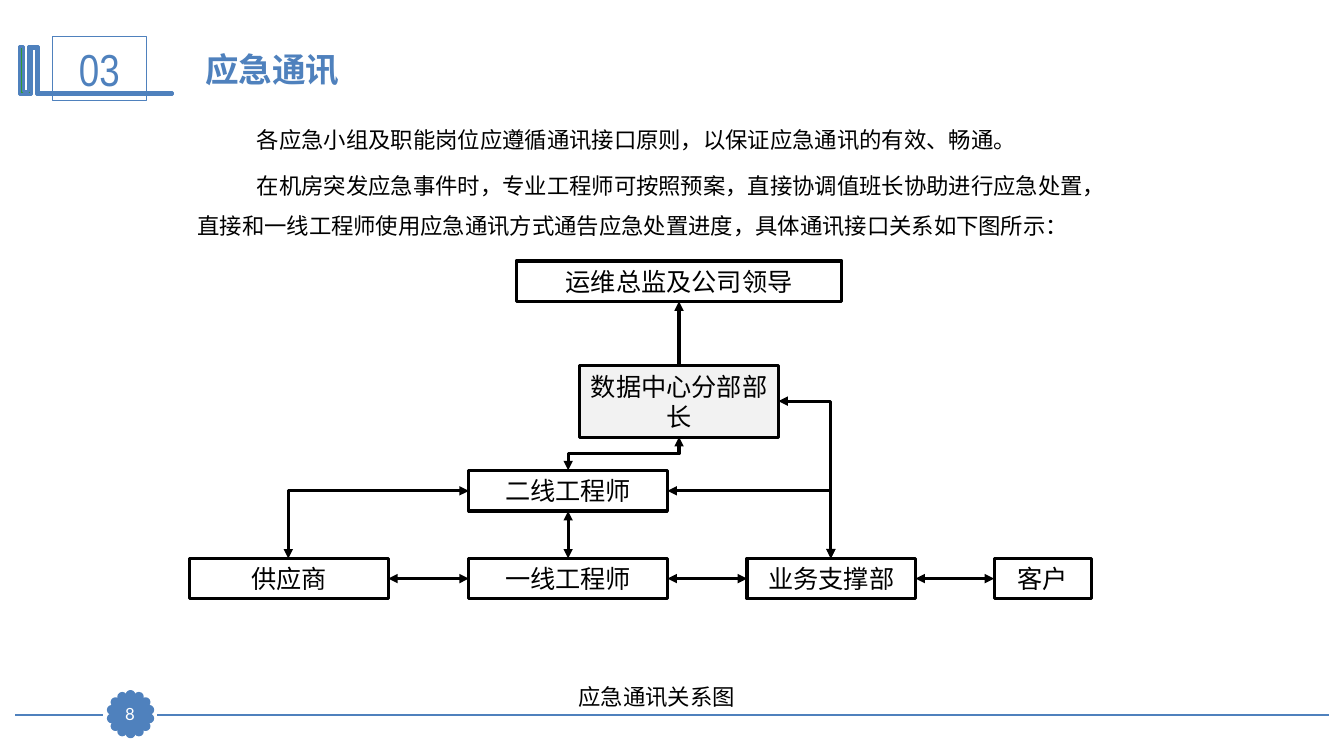
"""Build the emergency communication slide with its contact diagram."""
from math import cos, pi, sin

from lxml.etree import SubElement
from pptx import Presentation
from pptx.dml.color import RGBColor
from pptx.enum.shapes import MSO_CONNECTOR, MSO_SHAPE
from pptx.enum.text import MSO_ANCHOR, PP_ALIGN
from pptx.oxml.ns import qn
from pptx.util import Inches, Pt

BLUE = "4F81BD"
BLACK = "000000"


def paint(item, line, width, fill=None):
    """Colour the outline and fill, and drop the shadow."""
    item.line.color.rgb = RGBColor.from_string(line)
    item.line.width = Pt(width)
    if hasattr(item, "fill"):
        item.shadow.inherit = False
        if fill:
            item.fill.solid()
            item.fill.fore_color.rgb = RGBColor.from_string(fill)
        else:
            item.fill.background()
    else:
        SubElement(item._element.spPr, qn("a:effectLst"))


def write(para, text, size, color, font="Lato", bold=False):
    """Add one run of text to a paragraph."""
    span = para.add_run()
    span.text = text
    span.font.size = Pt(size)
    span.font.bold = bold
    span.font.color.rgb = RGBColor.from_string(color)
    span.font.name = font
    SubElement(span._r.get_or_add_rPr(), qn("a:ea")).set("typeface", "Noto Sans CJK SC")


deck = Presentation()
deck.slide_width = Inches(13.33)
deck.slide_height = Inches(7.5)
page = deck.slides.add_slide(deck.slide_layouts[6])
shapes = page.shapes

for start, end in [(0.15, 1.02), (1.56, 13.18)]:
    rule = shapes.add_connector(MSO_CONNECTOR.STRAIGHT, Inches(start), Inches(7.09), Inches(end), Inches(7.09))
    paint(rule, BLUE, 1.25)

PETALS = 14
for index in range(PETALS):
    angle = 2 * pi * index / PETALS
    left = 1.26 + 0.19 * sin(angle)
    top = 7.05 - 0.19 * cos(angle)
    petal = shapes.add_shape(MSO_SHAPE.OVAL, Inches(left), Inches(top), Inches(0.07), Inches(0.07))
    paint(petal, BLUE, 2, BLUE)

bracket_points = [
    (0.38, 0.46), (0.38, 0.92), (1.71, 0.92), (1.71, 0.94), (0.36, 0.94), (0.36, 0.48), (0.31, 0.48),
    (0.31, 0.94), (0.19, 0.94), (0.19, 0.46), (0.23, 0.46), (0.23, 0.91), (0.28, 0.91), (0.28, 0.46),
]
corners = [(Inches(x), Inches(y)) for x, y in bracket_points]
builder = shapes.build_freeform(*corners[0])
builder.add_line_segments(corners[1:], close=True)
paint(builder.convert_to_shape(), BLUE, 2, "339933")

labels = [
    ("03", 0.52, 0.36, 0.93, 0.64, None, 32, BLUE, "Arial Narrow"),
    ("8", 1.13, 6.93, 0.32, 0.31, BLUE, 12, "FFFFFF", "Lato"),
]
for text, left, top, width, height, fill, size, color, font in labels:
    box = shapes.add_shape(MSO_SHAPE.RECTANGLE, Inches(left), Inches(top), Inches(width), Inches(height))
    paint(box, BLUE, 0.75, fill)
    frame = box.text_frame
    frame.margin_left = frame.margin_right = frame.margin_top = frame.margin_bottom = 0
    frame.vertical_anchor = MSO_ANCHOR.MIDDLE
    frame.paragraphs[0].alignment = PP_ALIGN.CENTER
    write(frame.paragraphs[0], text, size, color, font)

title = shapes.add_textbox(Inches(1.86), Inches(0.44), Inches(9.69), Inches(0.51))
title.text_frame.word_wrap = True
write(title.text_frame.paragraphs[0], " 应急通讯", 24, BLUE, bold=True)

body = shapes.add_textbox(Inches(1.86), Inches(1.07), Inches(9.37), Inches(1.37))
body.text_frame.word_wrap = True
sentences = [
    "各应急小组及职能岗位应遵循通讯接口原则，以保证应急通讯的有效、畅通。",
    "在机房突发应急事件时，专业工程师可按照预案，直接协调值班长协助进行应急处置，"
    "直接和一线工程师使用应急通讯方式通告应急处置进度，具体通讯接口关系如下图所示：",
]
for index, sentence in enumerate(sentences):
    para = body.text_frame.add_paragraph() if index else body.text_frame.paragraphs[0]
    para.line_spacing = 1.5
    para.space_before = para.space_after = Pt(2)
    para._p.get_or_add_pPr().set("indent", str(Inches(0.59)))
    write(para, sentence, 16, BLACK, "Noto Sans CJK SC")

caption = shapes.add_textbox(Inches(5.64), Inches(6.59), Inches(1.81), Inches(0.51))
caption.text_frame.word_wrap = True
caption.text_frame.paragraphs[0].line_spacing = 1.5
write(caption.text_frame.paragraphs[0], "应急通讯关系图", 16, BLACK)

roles = {
    "director": ("运维总监及公司领导", 5.12, 2.59, 3.23, 0.4, None),
    "head": ("数据中心分部部长", 5.75, 3.63, 1.97, 0.71, "F2F2F2"),
    "second": ("二线工程师", 4.65, 4.67, 1.97, 0.4, None),
    "first": ("一线工程师", 4.65, 5.54, 1.97, 0.4, None),
    "supplier": ("供应商", 1.88, 5.54, 1.97, 0.4, None),
    "support": ("业务支撑部", 7.41, 5.54, 1.67, 0.4, None),
    "customer": ("客户", 9.86, 5.54, 0.97, 0.4, None),
}
boxes = {}
for role, (text, left, top, width, height, fill) in roles.items():
    box = shapes.add_shape(MSO_SHAPE.RECTANGLE, Inches(left), Inches(top), Inches(width), Inches(height))
    paint(box, BLACK, 2.25, fill)
    box.text_frame.word_wrap = True
    box.text_frame.paragraphs[0].alignment = PP_ALIGN.CENTER
    write(box.text_frame.paragraphs[0], text, 18, BLACK)
    boxes[role] = box

links = []
straight_links = [
    ("head", 0, "director", 2),
    ("second", 2, "first", 0),
    ("supplier", 3, "first", 1),
    ("first", 3, "support", 1),
    ("support", 3, "customer", 1),
]
for source, source_side, target, target_side in straight_links:
    link = shapes.add_connector(MSO_CONNECTOR.STRAIGHT, 0, 0, 0, 0)
    link.begin_connect(boxes[source], source_side)
    link.end_connect(boxes[target], target_side)
    links.append((link, source != "head"))

bent_links = [
    ("bentConnector3", 6.02, 3.95, 6.35, 5.05, 90),
    ("bentConnector2", 7.72, 3.98, 8.24, 5.54, 0),
    ("bentConnector2", 6.62, 4.87, 8.24, 5.54, 0),
    ("bentConnector2", 4.65, 4.87, 2.86, 5.54, 0),
]
for preset, start_x, start_y, end_x, end_y, turn in bent_links:
    link = shapes.add_connector(MSO_CONNECTOR.ELBOW, Inches(start_x), Inches(start_y), Inches(end_x), Inches(end_y))
    link._element.spPr.find(qn("a:prstGeom")).set("prst", preset)
    link._element.spPr.find(qn("a:xfrm")).set("rot", str(turn * 60000))
    links.append((link, True))

for link, two_way in links:
    paint(link, BLACK, 2.25)
    outline = link.line._get_or_add_ln()
    for end in ["headEnd", "tailEnd"] if two_way else ["tailEnd"]:
        SubElement(outline, qn("a:" + end)).set("type", "triangle")

deck.save("out.pptx")
